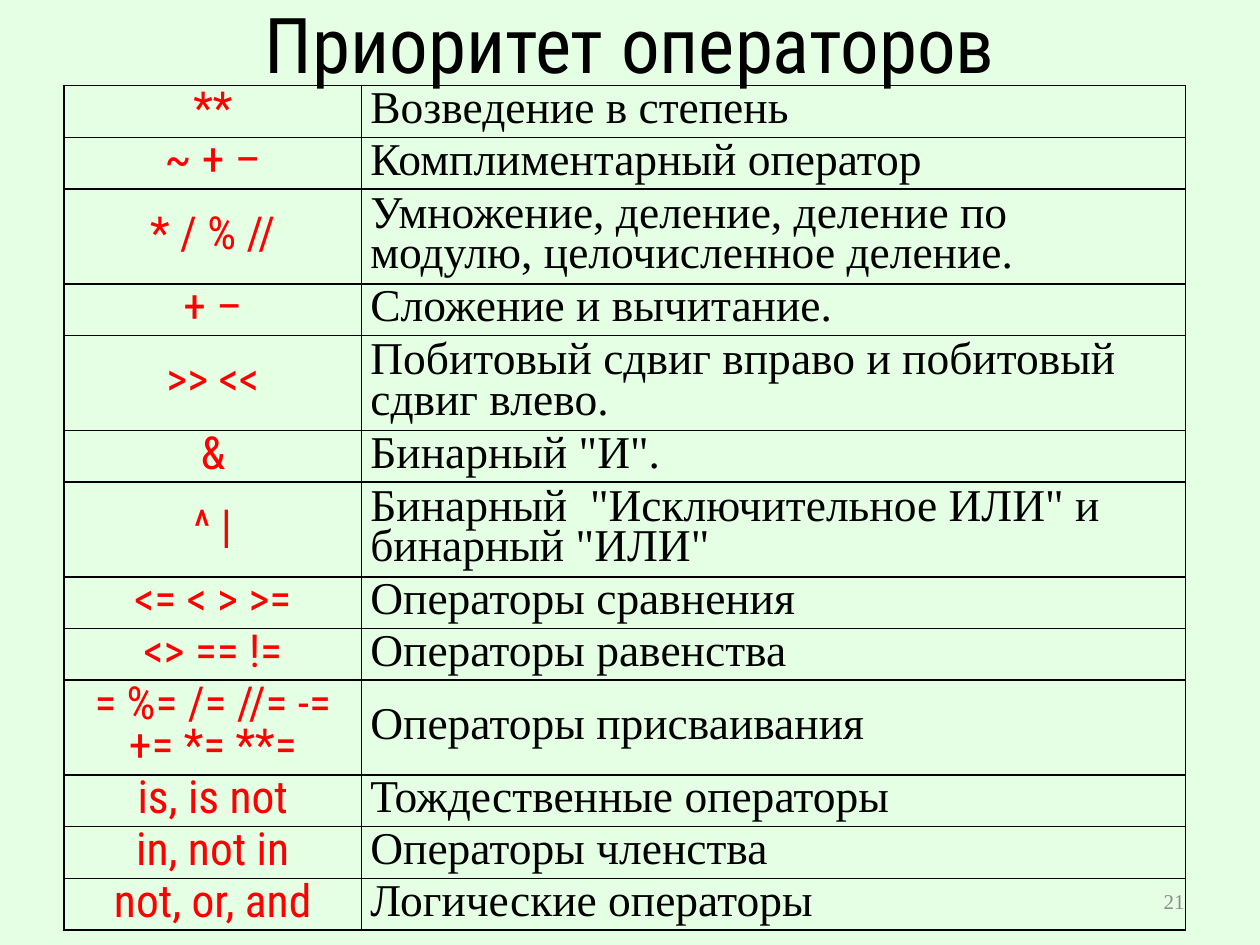
from lxml.etree import SubElement
from pptx import Presentation
from pptx.dml.color import RGBColor
from pptx.enum.text import MSO_ANCHOR as Anchor, MSO_AUTO_SIZE as Auto, PP_ALIGN as Align
from pptx.oxml.ns import qn
from pptx.util import Inches, Pt

BLACK = RGBColor(0, 0, 0)
RED = RGBColor(0xFF, 0, 0)
GRAY = RGBColor(0x8C, 0x8C, 0x8C)
MINT = RGBColor(0xE5, 0xFF, 0xE5)
SANS, SERIF = "Roboto Condensed", "Times New Roman"
LOW, TALL, WIDE = 0.41, 0.71, 0.75

ROWS = [
    ("**", "Возведение в степень", LOW),
    ("~ + –", "Комплиментарный оператор", LOW),
    ("* / % //", "Умножение, деление, деление по модулю, целочисленное деление.", TALL),
    ("+ –", "Сложение и вычитание.", LOW),
    (">> <<", "Побитовый сдвиг вправо и побитовый сдвиг влево.", TALL),
    ("&", 'Бинарный "И".', LOW),
    ("^ |", 'Бинарный\u00a0 "Исключительное ИЛИ" и бинарный "ИЛИ"', TALL),
    ("<= < > >=", "Операторы сравнения", LOW),
    ("<> == !=", "Операторы равенства", LOW),
    ("= %= /= //= -= += *= **=", "Операторы присваивания", WIDE),
    ("is, is not", "Тождественные операторы", LOW),
    ("in, not in", "Операторы членства", LOW),
    ("not, or, and", "Логические операторы", LOW),
]


def write(frame, text, size, face, color, align):
    par = frame.paragraphs[0]
    par.alignment = align
    run = par.add_run()
    run.text = text
    run.font.color.rgb = color
    for key, val in {"size": Pt(size), "name": face}.items():
        setattr(run.font, key, val)
    return par


def border(cell):
    props = cell._tc.get_or_add_tcPr()
    for side in ("a:lnL", "a:lnR", "a:lnT", "a:lnB"):
        line = SubElement(props, qn(side), w=str(Pt(1)))
        fill = SubElement(line, qn("a:solidFill"))
        SubElement(fill, qn("a:srgbClr"), val=str(BLACK))


deck = Presentation()
deck.slide_width, deck.slide_height = Inches(10), Inches(7.5)
slide = deck.slides.add_slide(deck.slide_layouts[5])
slide.background.fill.solid()
slide.background.fill.fore_color.rgb = MINT

title = slide.shapes.title
place = {"left": 0.12, "top": 0, "width": 9.76, "height": 0.68}
for key, val in place.items():
    setattr(title, key, Inches(val))
title.text_frame.auto_size = Auto.NONE
title.text_frame.vertical_anchor = Anchor.MIDDLE
write(title.text_frame, "Приоритет операторов", 44, SANS, BLACK, Align.CENTER)

page = slide.shapes.add_textbox(Inches(7.17), Inches(6.95), Inches(2.33), Inches(0.4))
page.text_frame.word_wrap = True
page.text_frame.vertical_anchor = Anchor.MIDDLE
write(page.text_frame, "21", 12, SERIF, GRAY, Align.RIGHT)

total = sum(row[2] for row in ROWS)
table = slide.shapes.add_table(
    len(ROWS), 2, Inches(0.51), Inches(0.68), Inches(8.9), Inches(total)
).table
table.first_row = table.horz_banding = False
for col, width in zip(table.columns, (2.36, 6.54)):
    col.width = Inches(width)

styles = ((SANS, RED, Align.CENTER), (SERIF, BLACK, Align.LEFT))
inset = {
    "margin_left": Inches(0.07),
    "margin_right": Inches(0.07),
    "margin_top": Inches(0.03),
    "margin_bottom": Inches(0.03),
    "vertical_anchor": Anchor.MIDDLE,
}
for row, (signs, note, height) in zip(table.rows, ROWS):
    row.height = Inches(height)
    for cell, text, style in zip(row.cells, (signs, note), styles):
        for key, val in inset.items():
            setattr(cell, key, val)
        border(cell)
        cell.fill.background()
        par = write(cell.text_frame, text, 26, *style)
        par.line_spacing = 0.8

deck.save("out.pptx")
